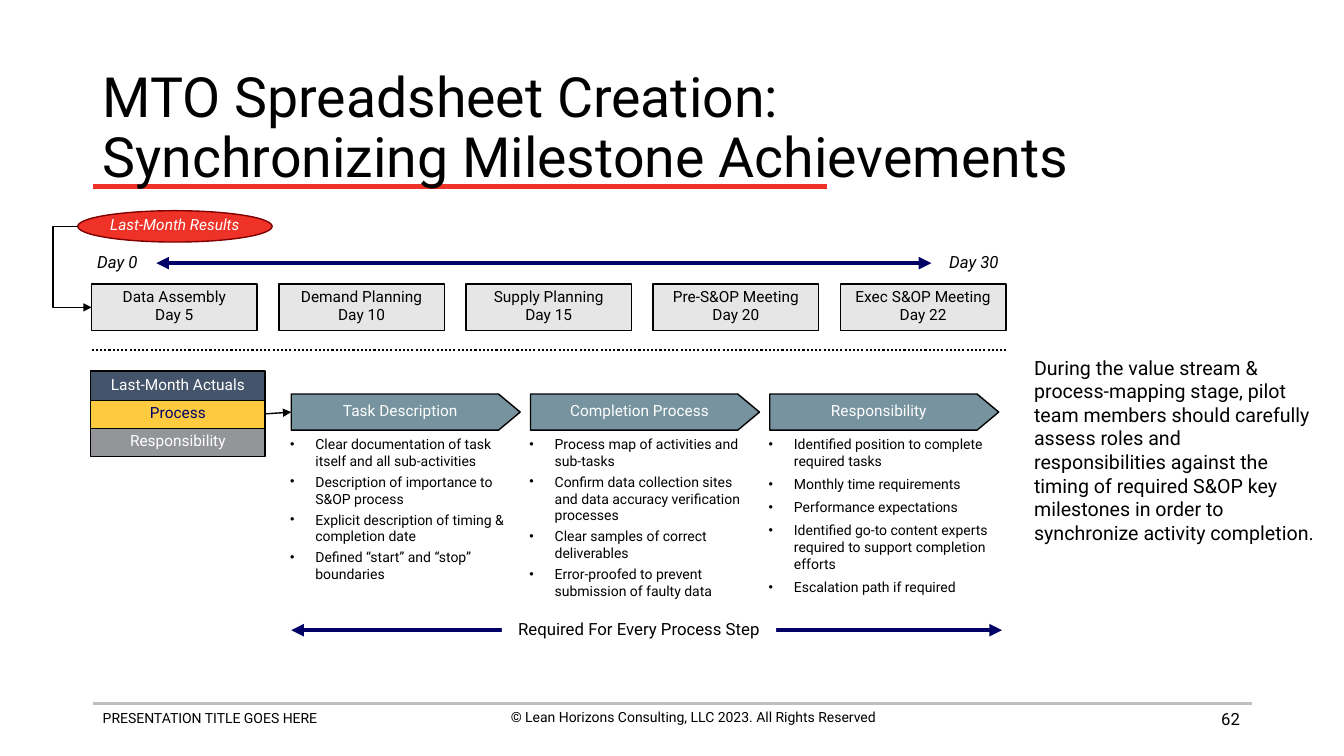
import lxml.etree
import pptx
import pptx.dml.color
import pptx.enum.dml
import pptx.enum.shapes
import pptx.enum.text
import pptx.oxml.ns
import pptx.util

Cm, Pt = pptx.util.Cm, pptx.util.Pt
SHAPE = pptx.enum.shapes.MSO_SHAPE
CONNECTOR = pptx.enum.shapes.MSO_CONNECTOR
ALIGN = pptx.enum.text.PP_ALIGN
ANCHOR = pptx.enum.text.MSO_ANCHOR

BLACK, WHITE, NAVY, RED = "000000", "FFFFFF", "000066", "EE3228"
TIGHT = {"alignment": ALIGN.CENTER, "line_spacing": 0.8}
LABEL_FRAME = {"word_wrap": False, "vertical_anchor": ANCHOR.MIDDLE}

MILESTONES = [
    ("Data Assembly", "Day 5"),
    ("Demand Planning", "Day 10"),
    ("Supply Planning", "Day 15"),
    ("Pre-S&OP Meeting", "Day 20"),
    ("Exec S&OP Meeting", "Day 22"),
]
LAYERS = [
    ("Last-Month Actuals", "44546A", WHITE),
    ("Process", "FDCA40", NAVY),
    ("Responsibility", "939598", WHITE),
]
# Heading, space between bullets in points, bullets
STEPS = [
    ("Task Description", 3, [
        "Clear documentation of task itself and all sub-activities",
        "Description of importance to S&OP process",
        "Explicit description of timing & completion date",
        "Defined “start” and “stop” boundaries"]),
    ("Completion Process", 3, [
        "Process map of activities and sub-tasks",
        "Confirm data collection sites and data accuracy verification processes",
        "Clear samples of correct deliverables",
        "Error-proofed to prevent submission of faulty data"]),
    ("Responsibility", 4.5, [
        "Identified position to complete required tasks",
        "Monthly time requirements",
        "Performance expectations",
        "Identified go-to content experts required to support completion efforts",
        "Escalation path if required"]),
]


def color(value):
    return pptx.dml.color.RGBColor.from_string(value)


def apply(target, values):
    for name, value in values.items():
        setattr(target, name, value)


def add_element(parent, tag, **attributes):
    return lxml.etree.SubElement(parent, pptx.oxml.ns.qn(tag), attributes)


def add_bullet(paragraph):
    properties = paragraph._p.get_or_add_pPr()
    apply_indent = {"marL": Cm(0.64), "indent": -Cm(0.64)}
    for name, value in apply_indent.items():
        properties.set(name, str(int(value)))
    add_element(properties, "a:buSzPct", val="90000")
    add_element(properties, "a:buFont", typeface="Arial")
    add_element(properties, "a:buChar", char="•")


def write(shape, lines, size, ink=BLACK, italic=False, frame=None, layout=None,
          gap=0, bullets=False):
    text_frame = shape.text_frame
    apply(text_frame, {"word_wrap": True, **(frame or {})})
    for index, line in enumerate(lines):
        paragraph = text_frame.add_paragraph() if index else text_frame.paragraphs[0]
        paragraph.text = line
        if bullets:
            add_bullet(paragraph)
        apply(paragraph, {"space_before": Pt(gap if index else 0), **(layout or {})})
        for run in paragraph.runs:
            apply(run.font, {"name": "Roboto", "size": Pt(size), "italic": italic})
            run.font.color.rgb = color(ink)


def add_text(slide, box, lines, size, **options):
    shape = slide.shapes.add_textbox(*map(Cm, box))
    write(shape, lines, size, **options)
    return shape


def add_label(slide, kind, box, lines, fill, ink, size=11, outline=BLACK, weight=1,
              italic=False):
    shape = slide.shapes.add_shape(kind, *map(Cm, box))
    shape.shadow.inherit = False
    shape.fill.solid()
    shape.fill.fore_color.rgb = color(fill)
    if outline:
        shape.line.color.rgb = color(outline)
        shape.line.width = Pt(weight)
    else:
        shape.line.fill.background()
    write(shape, lines, size, ink=ink, italic=italic, frame=LABEL_FRAME, layout=TIGHT, gap=2.2)
    return shape


def add_line(slide, start, end, ink, weight, arrows=(), kind=CONNECTOR.STRAIGHT):
    connector = slide.shapes.add_connector(kind, *map(Cm, (*start, *end)))
    connector.line.color.rgb = color(ink)
    connector.line.width = Pt(weight)
    for arrow in arrows:
        add_element(connector.line._get_or_add_ln(), arrow, type="triangle")
    add_element(connector._element.spPr, "a:effectLst")
    return connector


def add_title(slide, left, top, width, height):
    add_line(slide, (left, top + 2.82), (left + 18.49, top + 2.82), RED, 3)
    add_text(slide, (left, top, width, height),
             ["MTO Spreadsheet Creation:\vSynchronizing Milestone Achievements"], 39.6,
             frame={"vertical_anchor": ANCHOR.MIDDLE}, layout={"line_spacing": 0.9})


def add_footer(slide, left, top, width):
    add_line(slide, (left, top), (left + width, top), "BFBFBF", 2)
    add_text(slide, (left, top + 0.02, 11.58, 1.12), ["PRESENTATION TITLE GOES HERE"], 10)
    add_text(slide, (left + 9.34, top, 11.58, 1.12),
             ["© Lean Horizons Consulting, LLC 2023. All Rights Reserved"], 10,
             layout={"alignment": ALIGN.CENTER})
    add_text(slide, (left + width - 7.67, top - 0.13, 7.62, 1.02), ["62"], 12,
             frame={"vertical_anchor": ANCHOR.MIDDLE}, layout={"alignment": ALIGN.RIGHT})


def add_timeline(slide, left, top, width):
    # Milestone boxes
    box_width, box_height, box_top = 4.17, 1.17, top + 1.85
    pitch = (width - box_width) / (len(MILESTONES) - 1)
    boxes = [add_label(slide, SHAPE.RECTANGLE,
                       (left + index * pitch, box_top, box_width, box_height),
                       lines, "E7E6E6", BLACK)
             for index, lines in enumerate(MILESTONES)]

    # Results feeding the first milestone
    results = add_label(slide, SHAPE.OVAL, (left - 0.35, top, 4.9, 0.79),
                        ["Last-Month Results"], RED, WHITE, outline="800000", italic=True)
    start, end = (left - 0.35, top + 0.4), (left, box_top + box_height / 2)
    feed = add_line(slide, start, end, BLACK, 1, ["a:tailEnd"], CONNECTOR.ELBOW)
    feed.begin_connect(results, 2)  # an oval's site 2 is its left side
    feed.end_connect(boxes[0], 1)
    apply(feed, {"begin_x": Cm(start[0]), "begin_y": Cm(start[1])})
    guides = feed._element.spPr.prstGeom.get_or_add_avLst()
    add_element(guides, "a:gd", name="adj1", fmla="val -178900")

    # Day scale
    add_line(slide, (left + 1.63, top + 1.32), (left + 21.16, top + 1.32), NAVY, 3,
             ["a:headEnd", "a:tailEnd"])
    for day, offset, day_width in [("Day 0", -0.15, 1.6), ("Day 30", 21.31, 1.85)]:
        add_text(slide, (left + offset, top + 1.01, day_width, 0.66), [day], 12,
                 italic=True, frame={"word_wrap": False}, layout=TIGHT)
    divider = add_line(slide, (left, top + 3.5), (left + width, top + 3.5), BLACK, 1.5)
    divider.line.dash_style = pptx.enum.dml.MSO_LINE.ROUND_DOT


def add_layers(slide, left, top, width):
    layers = []
    for index, (name, fill, ink) in reversed(list(enumerate(LAYERS))):
        layers.append(add_label(slide, SHAPE.RECTANGLE, (left, top + index * 0.71, width, 0.74),
                                [name], fill, ink, weight=0.75))
    return layers[1]


def add_steps(slide, left, top, process):
    pitch, step_width, step_height = 6.03, 5.77, 0.91
    for index, (heading, gap, bullets) in enumerate(STEPS):
        step_left = left + index * pitch
        step = add_label(slide, SHAPE.PENTAGON, (step_left, top, step_width, step_height),
                         [heading], "76939F", WHITE)
        step.adjustments[0] = 0.6
        if index == 0:
            link = add_line(slide, (left, top), (left, top), BLACK, 1, ["a:tailEnd"])
            link.begin_connect(process, 3)
            link.end_connect(step, 1)
        margins = {"margin_left": Cm(0.2), "margin_right": Cm(0.2),
                   "margin_top": Cm(0.1), "margin_bottom": Cm(0.1)}
        add_text(slide, (step_left - 0.23, top + 0.94, 6.02, 4.39), bullets, 10,
                 frame=margins, gap=gap, bullets=True)

    # Span under all steps
    add_line(slide, (left, top + 5.95), (left + 17.91, top + 5.95), NAVY, 3,
             ["a:headEnd", "a:tailEnd"])
    add_label(slide, SHAPE.RECTANGLE, (left + 5.31, top + 5.64, 6.91, 0.66),
              ["Required For Every Process Step"], WHITE, BLACK, size=12, outline=None)


def add_commentary(slide, left, top, width, height):
    add_text(slide, (left, top, width, height),
             ["During the value stream & process-mapping stage, pilot team members should "
              "carefully assess roles and responsibilities against the timing of required "
              "S&OP key milestones in order to synchronize activity completion."], 14)


def main():
    presentation = pptx.Presentation()
    apply(presentation, {"slide_width": Cm(33.87), "slide_height": Cm(19.05)})
    slide = presentation.slides.add_slide(presentation.slide_layouts[6])
    add_footer(slide, 2.34, 17.73, 29.21)
    add_title(slide, 2.34, 1.88, 29.21, 2.79)
    add_commentary(slide, 25.81, 8.84, 7.65, 5.05)
    process = add_layers(slide, 2.29, 9.35, 4.39)
    add_timeline(slide, 2.31, 5.31, 23.04)
    add_steps(slide, 7.34, 9.93, process)
    presentation.save("out.pptx")


if __name__ == "__main__":
    main()
